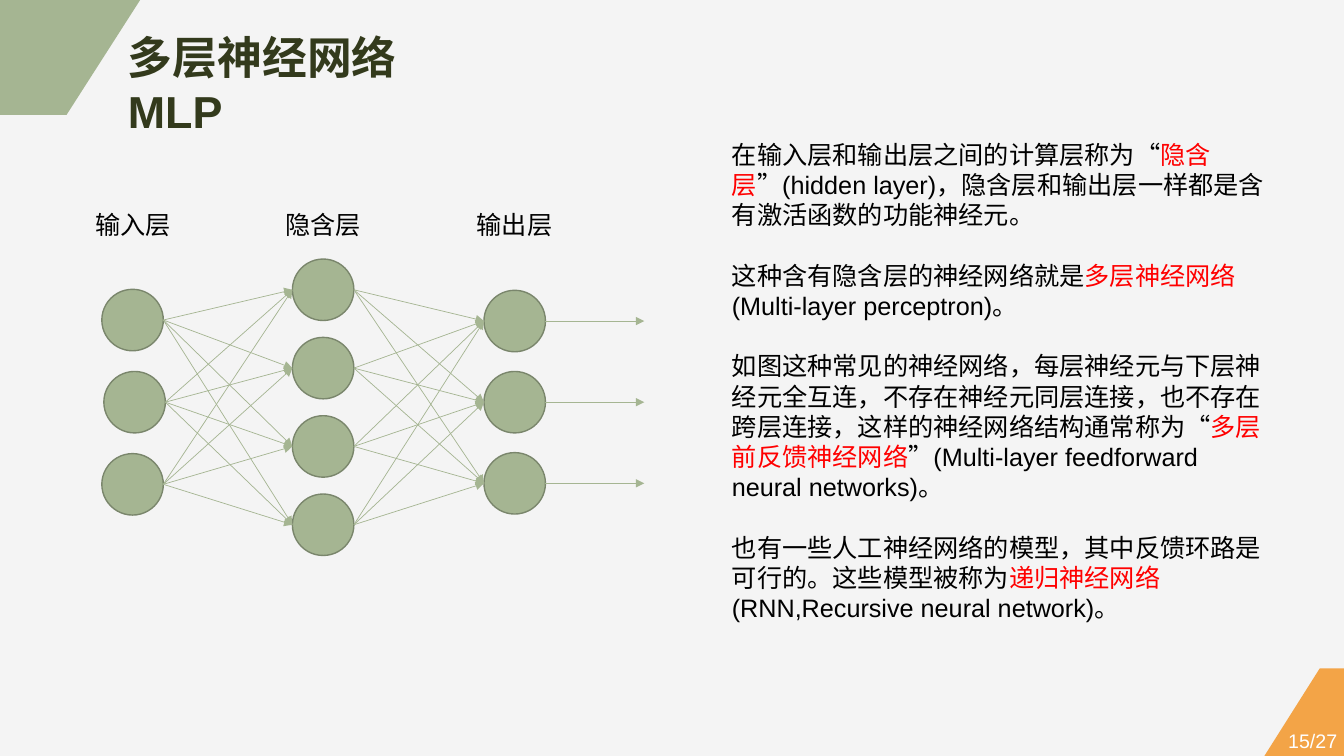
from itertools import product

from lxml.etree import SubElement
from pptx import Presentation
from pptx.dml.color import RGBColor as RGB
from pptx.enum.shapes import MSO_CONNECTOR as LINE, MSO_SHAPE as SHAPE
from pptx.enum.text import PP_ALIGN as ALIGN
from pptx.oxml.ns import qn
from pptx.util import Inches, Pt

HUES = {"back": "F4F4F4", "green": "A5B592", "edge": "7A866C",
        "amber": "F3A447", "title": "333A1C", "text": "000000",
        "key": "FF0000", "page": "FFFFFF"}
SIZE = 0.61  # diameter of a neuron

# x of each neuron, top of the first one, distance between tops
LAYERS = [([1.01, 1.03, 1.01], 2.87, 0.815),
          ([2.9] * 4, 2.57, 0.777),
          ([4.8] * 3, 2.88, 0.805)]
LABELS = [("输入层", 0.85), ("隐含层", 2.73), ("输出层", 4.63)]

# each paragraph: lead, key term, rest
NOTES = [
    ("在输入层和输出层之间的计算层称为“", "隐含层",
     "”(hidden layer)，隐含层和输出层一样都是含有激活函数的功能神经元。"),
    ("这种含有隐含层的神经网络就是", "多层神经网络",
     "(Multi-layer perceptron)。"),
    ("如图这种常见的神经网络，每层神经元与下层神经元全互连，不存在神经元同层连接，"
     "也不存在跨层连接，这样的神经网络结构通常称为“", "多层前反馈神经网络",
     "”(Multi-layer feedforward neural networks)。"),
    ("也有⼀些⼈⼯神经⽹络的模型，其中反馈环路是可⾏的。这些模型被称为",
     "递归神经⽹络", "(RNN,Recursive neural network)。"),
]


def hue(name):
    return RGB.from_string(HUES[name])


def paint(shape, fill):
    shape.shadow.inherit = False
    shape.fill.solid()
    shape.fill.fore_color.rgb = hue(fill)


def corner(slide, points, fill):
    start, *rest = [(Inches(x), Inches(y)) for x, y in points]
    form = slide.shapes.build_freeform(*start)
    form.add_line_segments(rest, close=True)
    shape = form.convert_to_shape()
    paint(shape, fill)
    shape.line.fill.background()


def neuron(slide, x, y):
    shape = slide.shapes.add_shape(
        SHAPE.OVAL, Inches(x), Inches(y), Inches(SIZE), Inches(SIZE))
    paint(shape, "green")
    shape.line.color.rgb = hue("edge")
    shape.line.width = Pt(1)


def arrow(slide, start, end):
    link = slide.shapes.add_connector(
        LINE.STRAIGHT, *[Inches(v) for v in (*start, *end)])
    link.line.color.rgb = hue("green")
    link.line.width = Pt(0.5)
    SubElement(link.line._get_or_add_ln(), qn("a:tailEnd"), type="triangle")
    SubElement(link._element.spPr, qn("a:effectLst"))


def write(slide, box, paras, wrap=True, gap=0, align=ALIGN.LEFT, **font):
    """Add a text box; each paragraph is a list of (text, colour) runs."""
    frame = slide.shapes.add_textbox(*[Inches(v) for v in box]).text_frame
    frame.word_wrap = wrap
    look = {"name": "Arial", "size": Pt(18), **font}
    for i, runs in enumerate(paras):
        para = frame.add_paragraph() if i else frame.paragraphs[0]
        para.alignment = align
        para.space_before = Pt(gap if i else 0)
        for text, color in runs:
            run = para.add_run()
            run.text = text
            run.font.color.rgb = hue(color)
            for key, value in look.items():
                setattr(run.font, key, value)
    return frame


def network(slide):
    layers = [[(x, top + i * step) for i, x in enumerate(xs)]
              for xs, top, step in LAYERS]
    for layer in layers:
        for x, y in layer:
            neuron(slide, x, y)
    half = SIZE / 2
    for left, right in zip(layers, layers[1:]):
        for (x, y), (u, v) in product(left, right):
            arrow(slide, (x + SIZE, y + half), (u, v + half))
    for x, y in layers[-1]:
        arrow(slide, (x + SIZE, y + half), (6.39, y + half))
    for text, x in LABELS:
        write(slide, (x, 2.03, 0.96, 0.4), [[(text, "text")]], wrap=False)


def main():
    deck = Presentation()
    deck.slide_width, deck.slide_height = Inches(13.33), Inches(7.5)
    slide = deck.slides.add_slide(deck.slide_layouts[6])
    slide.background.fill.solid()
    slide.background.fill.fore_color.rgb = hue("back")

    corner(slide, [(0, 0), (1.39, 0), (0.66, 1.14), (0, 1.14)], "green")
    corner(slide, [(13.09, 6.63), (13.33, 6.63), (13.33, 7.5), (12.54, 7.5)],
           "amber")
    page = write(slide, (12.71, 7.19, 0.62, 0.31), [[("15/27", "page")]],
                 wrap=False, align=ALIGN.CENTER, size=Pt(14))
    page.margin_left = page.margin_right = Inches(0.02)
    page.margin_top = page.margin_bottom = Inches(0.04)

    write(slide, (1.17, 0.25, 3.4, 1.15), [[("多层神经网络MLP", "title")]],
          size=Pt(32), bold=True)
    network(slide)
    tones = ("text", "key", "text")
    write(slide, (7.16, 1.33, 5.48, 5.25),
          [list(zip(parts, tones)) for parts in NOTES], gap=21.6)
    deck.save("out.pptx")


if __name__ == "__main__":
    main()
